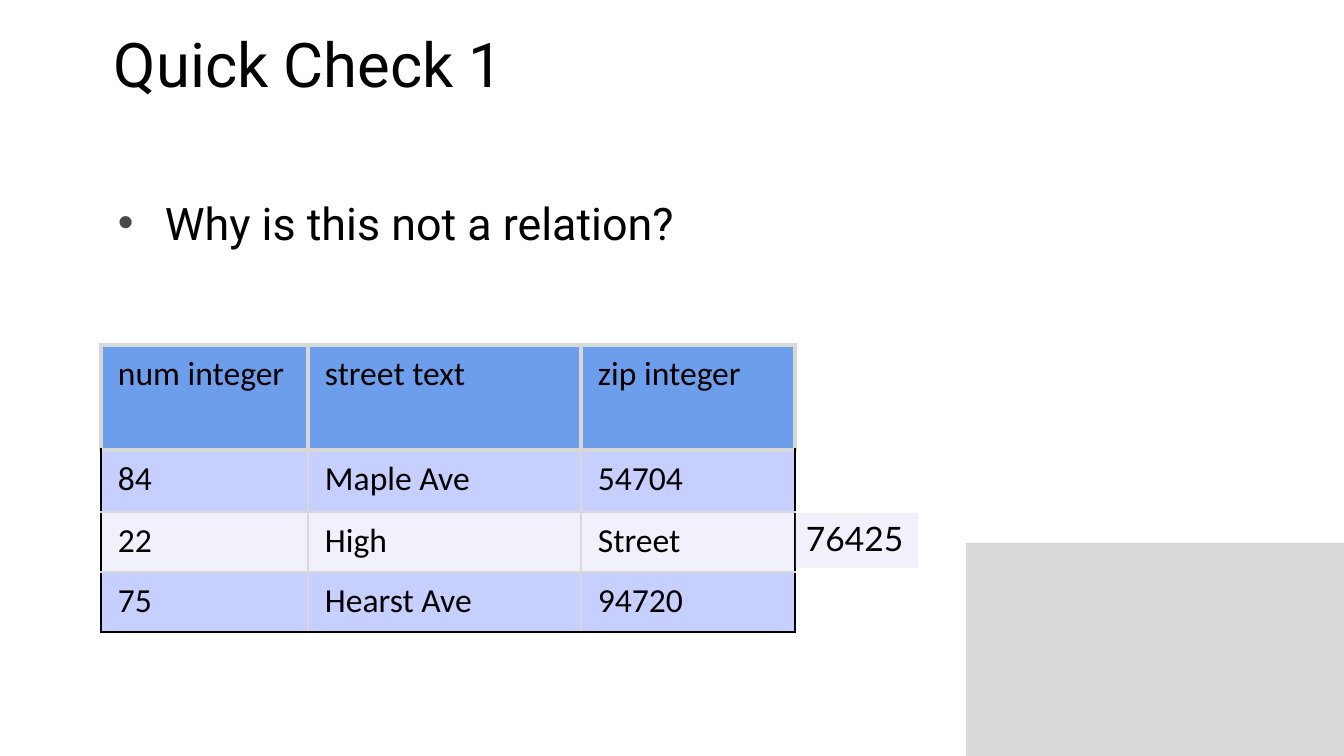
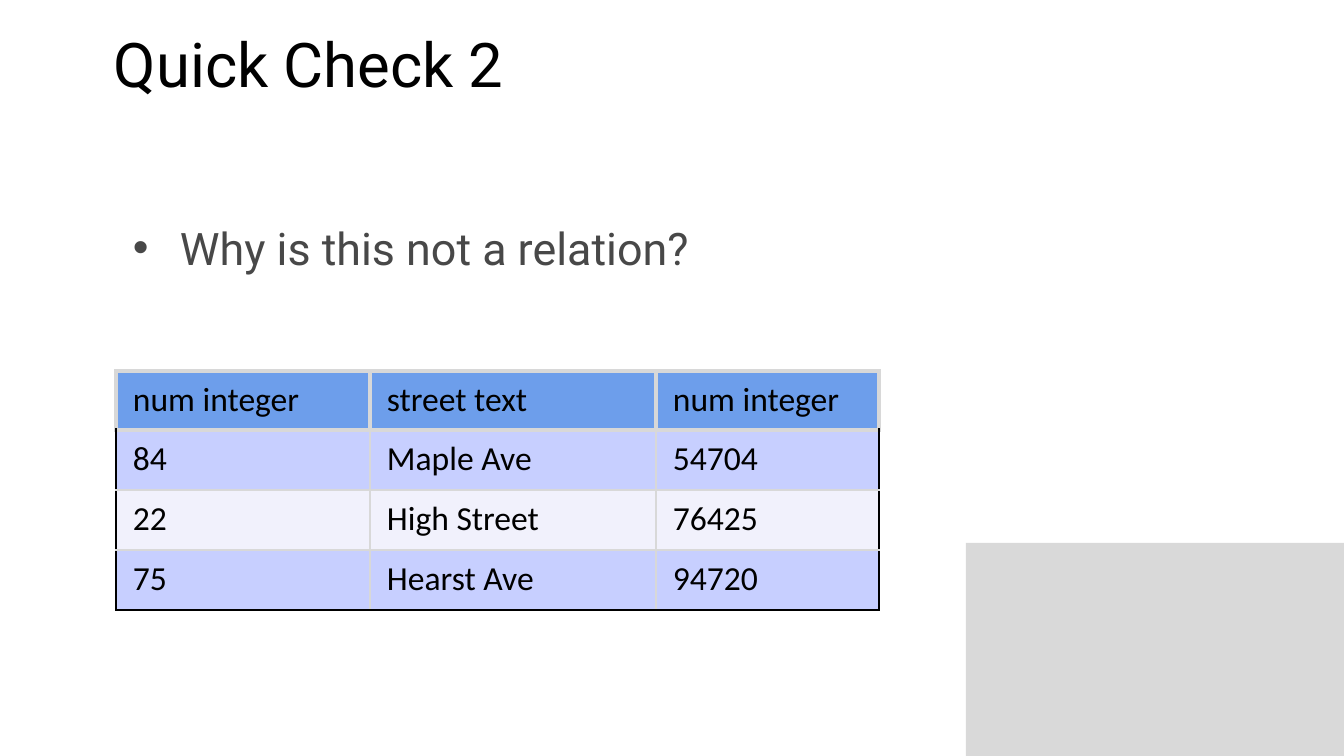
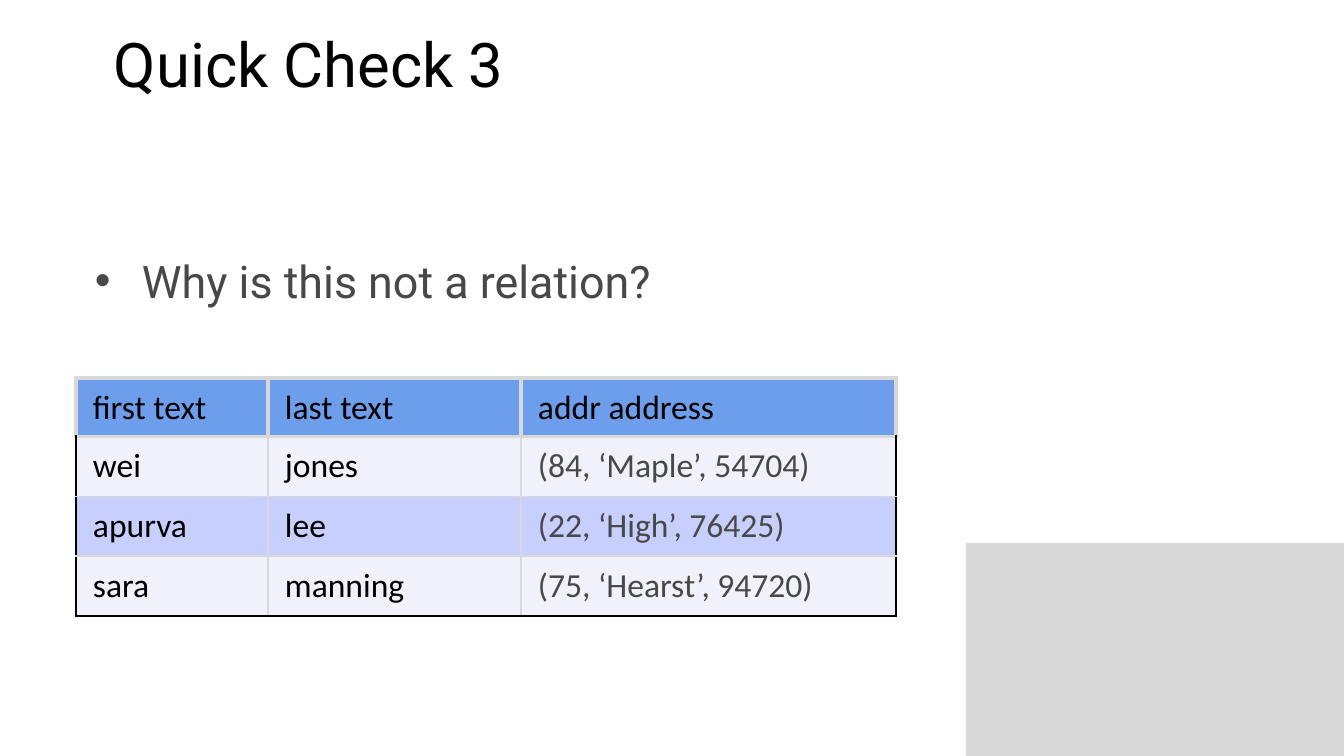
"""Builds three quick-check slides, each asking why a small table is not a relation."""
from lxml.etree import SubElement
from pptx import Presentation
from pptx.dml.color import RGBColor
from pptx.enum.shapes import MSO_SHAPE
from pptx.enum.text import MSO_ANCHOR, PP_ALIGN
from pptx.oxml.ns import qn
from pptx.util import Emu, Pt

SCALE = 9144000 / 1344
COLORS = {
    "black": "000000",
    "gray": "484848",
    "panel": "D9D9D9",
    "rule": "D8D8D8",
    "header": "6D9EEB",
    "lilac": "C7CFFF",
    "pale": "F1F1FC",
}
SIDES = ("L", "R", "T", "B")
QUESTION = "Why is this not a relation?"

CHECKS = [
    {
        "title": "Quick Check 1",
        "question": (101, -59, "black"),
        "table": (101, 345),
        "columns": (207, 273, 214),
        "heights": (105, 62, 60, 60),
        "bands": ("lilac", "pale"),
        "last_color": "black",
        "rows": [
            ("num integer", "street text", "zip integer"),
            ("84", "Maple Ave", "54704"),
            ("22", "High", "Street"),
            ("75", "Hearst Ave", "94720"),
        ],
        "stray": ("76425", (796, 513, 122, 55)),
    },
    {
        "title": "Quick Check 2",
        "question": (116, -34, "gray"),
        "table": (116, 371),
        "columns": (254, 286, 223),
        "heights": (59, 60, 60, 60),
        "bands": ("lilac", "pale"),
        "last_color": "black",
        "rows": [
            ("num integer", "street text", "num integer"),
            ("84", "Maple Ave", "54704"),
            ("22", "High Street", "76425"),
            ("75", "Hearst Ave", "94720"),
        ],
    },
    {
        "title": "Quick Check 3",
        "question": (78, -1, "gray"),
        "table": (76, 378),
        "columns": (192, 253, 375),
        "heights": (58, 60, 60, 60),
        "bands": ("pale", "lilac"),
        "last_color": "gray",
        "rows": [
            ("first text", "last text", "addr address"),
            ("wei", "jones", "(84, ‘Maple’, 54704)"),
            ("apurva", "lee", "(22, ‘High’, 76425)"),
            ("sara", "manning", "(75, ‘Hearst’, 94720)"),
        ],
    },
]


def px(length):
    return Emu(round(length * SCALE))


def rgb(name):
    return RGBColor.from_string(COLORS[name])


def set_insets(frame, across, down):
    frame.margin_left = frame.margin_right = px(across)
    frame.margin_top = frame.margin_bottom = px(down)


def add_run(paragraph, text, size, font, color):
    run = paragraph.add_run()
    run.text = text
    run.font.size = Pt(size)
    run.font.name = font
    run.font.color.rgb = rgb(color)


def add_block(slide, box, color):
    shape = slide.shapes.add_shape(MSO_SHAPE.RECTANGLE, *map(px, box))
    shape.shadow.inherit = False
    shape.fill.solid()
    shape.fill.fore_color.rgb = rgb(color)
    shape.line.fill.background()
    return shape


def add_text(slide, box, text, size, color):
    frame = slide.shapes.add_textbox(*map(px, box)).text_frame
    frame.word_wrap = True
    frame.vertical_anchor = MSO_ANCHOR.MIDDLE
    set_insets(frame, 13, 13)
    paragraph = frame.paragraphs[0]
    add_run(paragraph, text, size, "Roboto", color)
    return paragraph


def add_question(slide, left, top, color):
    paragraph = add_text(slide, (left, top, 1142, 563), QUESTION, 24, color)
    paragraph.space_before = Pt(4.8)
    properties = paragraph._p.get_or_add_pPr()
    properties.set("marL", str(px(51)))
    properties.set("indent", str(px(-47)))
    bullet_color = SubElement(properties, qn("a:buClr"))
    SubElement(bullet_color, qn("a:srgbClr"), val=COLORS["gray"])
    SubElement(properties, qn("a:buFont"), typeface="Arial")
    SubElement(properties, qn("a:buChar"), char="•")


def set_borders(cell, borders):
    """Borders must come before the fill in the cell properties."""
    properties = cell._tc.get_or_add_tcPr()
    for side in SIDES:
        color, width = borders[side]
        line = SubElement(properties, qn(f"a:ln{side}"), w=str(Pt(width)))
        fill = SubElement(line, qn("a:solidFill"))
        SubElement(fill, qn("a:srgbClr"), val=COLORS[color])


def cell_borders(row, column, last_row, last_column):
    if row == 0:
        return dict.fromkeys(SIDES, ("rule", 2.25))
    inner, outer = ("rule", 1), ("black", 1)
    return {
        "L": outer if column == 0 else inner,
        "R": outer if column == last_column else inner,
        "T": ("rule", 2.25) if row == 1 else inner,
        "B": outer if row == last_row else inner,
    }


def add_grid(slide, check):
    rows, widths, heights = check["rows"], check["columns"], check["heights"]
    box = (*check["table"], sum(widths), sum(heights))
    table = slide.shapes.add_table(len(rows), len(widths), *map(px, box)).table
    table.first_row = table.horz_banding = False
    for column, width in zip(table.columns, widths):
        column.width = px(width)
    last_row, last_column = len(rows) - 1, len(widths) - 1
    for r, texts in enumerate(rows):
        table.rows[r].height = px(heights[r])
        for c, text in enumerate(texts):
            cell = table.cell(r, c)
            set_insets(cell, 17, 9)
            set_borders(cell, cell_borders(r, c, last_row, last_column))
            cell.fill.solid()
            cell.fill.fore_color.rgb = rgb(check["bands"][(r - 1) % 2] if r else "header")
            color = check["last_color"] if r and c == last_column else "black"
            add_run(cell.text_frame.paragraphs[0], text, 18, "Calibri", color)


def add_stray_value(slide, text, box):
    frame = add_block(slide, box, "pale").text_frame
    frame.word_wrap = True
    frame.vertical_anchor = MSO_ANCHOR.TOP
    set_insets(frame, 10, 5)
    paragraph = frame.paragraphs[0]
    paragraph.alignment = PP_ALIGN.LEFT
    add_run(paragraph, text, 18, "Lato", "black")


def add_check(presentation, check):
    slide = presentation.slides.add_slide(presentation.slide_layouts[6])
    add_block(slide, (966, 543, 378, 213), "panel")
    add_text(slide, (101, 0, 1142, 126), check["title"], 33, "black")
    add_question(slide, *check["question"])
    add_grid(slide, check)
    if "stray" in check:
        add_stray_value(slide, *check["stray"])


presentation = Presentation()
presentation.slide_width, presentation.slide_height = px(1344), px(756)
for check in CHECKS:
    add_check(presentation, check)
presentation.save("out.pptx")
